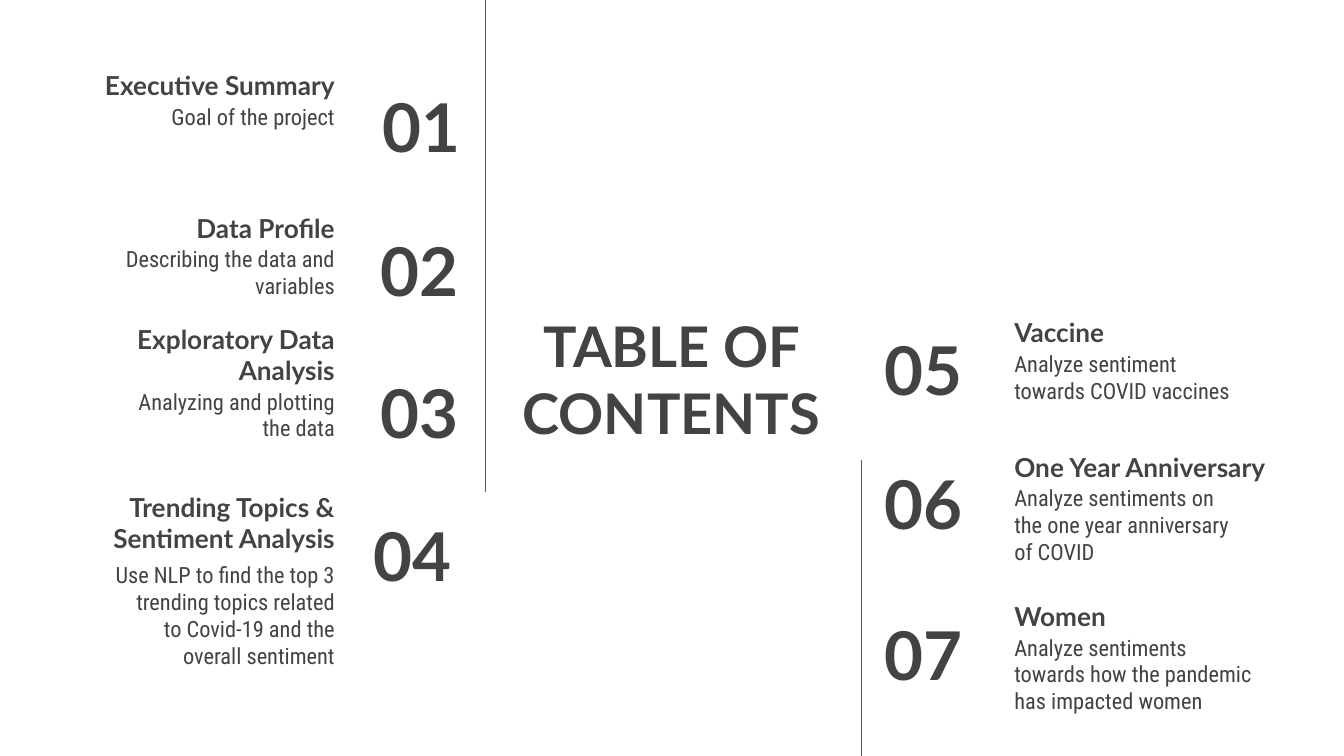
from dataclasses import dataclass

from lxml import etree
from pptx import Presentation
from pptx.dml.color import RGBColor
from pptx.enum.shapes import MSO_CONNECTOR
from pptx.enum.text import MSO_ANCHOR, MSO_AUTO_SIZE, PP_ALIGN
from pptx.oxml.ns import qn
from pptx.util import Cm, Pt

LEFT, CENTER, RIGHT = PP_ALIGN.LEFT, PP_ALIGN.CENTER, PP_ALIGN.RIGHT
TOP, MIDDLE, BOTTOM = MSO_ANCHOR.TOP, MSO_ANCHOR.MIDDLE, MSO_ANCHOR.BOTTOM
NO_AUTOFIT = MSO_AUTO_SIZE.NONE
STRAIGHT = MSO_CONNECTOR.STRAIGHT

SLIDE_WIDTH, SLIDE_HEIGHT = 25.4, 14.29
HEADING_FONT, BODY_FONT = "Lato", "Roboto Condensed"
TEXT_COLOR, RULE_COLOR = "434343", "595959"
ROW_HEIGHT = 1.6
LEFT_COLUMN_EDGE = 6.58    # right edge of the entries on the left
RIGHT_COLUMN_EDGE = 18.92  # left edge of the entries on the right


@dataclass
class Entry:
    number: str
    heading: str
    summary: str
    top: float
    number_left: float
    number_top: float
    number_width: float = 2.97
    number_align: PP_ALIGN = LEFT
    heading_width: float = 5.49
    summary_width: float = 4.65
    summary_offset: float = 1.14


LEFT_ENTRIES = [
    Entry("01", "Executive Summary", "Goal of the project",
          0.56, 5.89, 1.57, 3.07, RIGHT),
    Entry("02", "Data Profile", "Describing the data and variables",
          3.25, 5.84, 4.29, 3.07, RIGHT),
    Entry("03", "Exploratory Data Analysis", "Analyzing and plotting the data",
          5.94, 5.84, 6.99, 3.07, RIGHT),
    Entry("04", "Trending Topics & Sentiment Analysis",
          "Use NLP to find the top 3 trending topics related to Covid-19 "
          "and the overall sentiment",
          9.12, 6.81, 9.68, summary_offset=1.24),
]
RIGHT_ENTRIES = [
    Entry("05", "Vaccine", "Analyze sentiment towards COVID vaccines",
          5.23, 16.46, 6.17),
    Entry("06", "One Year Anniversary",
          "Analyze sentiments on the one year anniversary of COVID",
          7.77, 16.46, 8.71, heading_width=6.48),
    Entry("07", "Women",
          "Analyze sentiments towards how the pandemic has impacted women",
          10.59, 16.46, 11.56, summary_width=5.11),
]


def rgb(hex_color):
    return RGBColor.from_string(hex_color)


def write_text(holder, text, size, font_name, bold, align, anchor):
    frame = holder.text_frame
    frame.text = text
    frame.word_wrap = True
    frame.auto_size = NO_AUTOFIT
    frame.vertical_anchor = anchor
    frame.margin_left = frame.margin_right = Cm(0.25)
    frame.margin_top = frame.margin_bottom = Cm(0.25)
    paragraph = frame.paragraphs[0]
    paragraph.alignment = align
    font = paragraph.runs[0].font
    font.name, font.size, font.bold = font_name, Pt(size), bold
    font.color.rgb = rgb(TEXT_COLOR)


def add_title(slide, text):
    title = slide.shapes.title
    title.left, title.top = Cm(9.4), Cm(5.84)
    title.width, title.height = Cm(6.58), Cm(2.62)
    write_text(title, text, 30, HEADING_FONT, True, CENTER, MIDDLE)


def add_label(slide, text, left, top, width, size, font_name, bold, align, anchor):
    label = slide.shapes.add_textbox(Cm(left), Cm(top), Cm(width), Cm(ROW_HEIGHT))
    write_text(label, text, size, font_name, bold, align, anchor)


def add_entry(slide, entry, align):
    def column_left(width):
        return LEFT_COLUMN_EDGE - width if align == RIGHT else RIGHT_COLUMN_EDGE

    add_label(slide, entry.heading, column_left(entry.heading_width), entry.top,
              entry.heading_width, 14, HEADING_FONT, True, align, BOTTOM)
    add_label(slide, entry.summary, column_left(entry.summary_width),
              entry.top + entry.summary_offset, entry.summary_width,
              12, BODY_FONT, False, align, TOP)
    add_label(slide, entry.number, entry.number_left, entry.number_top,
              entry.number_width, 36, HEADING_FONT, True,
              entry.number_align, MIDDLE)


def add_vertical_rule(slide, x, top, bottom):
    rule = slide.shapes.add_connector(STRAIGHT, Cm(x), Cm(top), Cm(x), Cm(bottom))
    rule.line.color.rgb = rgb(RULE_COLOR)
    rule.line.width = Pt(0.75)
    etree.SubElement(rule._element.spPr, qn("a:effectLst"))


def main():
    presentation = Presentation()
    presentation.slide_width = Cm(SLIDE_WIDTH)
    presentation.slide_height = Cm(SLIDE_HEIGHT)
    slide = presentation.slides.add_slide(presentation.slide_layouts[5])

    # Title in the middle
    add_title(slide, "TABLE OF CONTENTS")

    # Numbered entries on both sides
    for entries, align in ((LEFT_ENTRIES, RIGHT), (RIGHT_ENTRIES, LEFT)):
        for entry in entries:
            add_entry(slide, entry, align)

    # Rules beside the numbers
    add_vertical_rule(slide, 9.17, 0, 9.3)
    add_vertical_rule(slide, 16.28, 8.69, SLIDE_HEIGHT)

    presentation.save("out.pptx")


if __name__ == "__main__":
    main()
